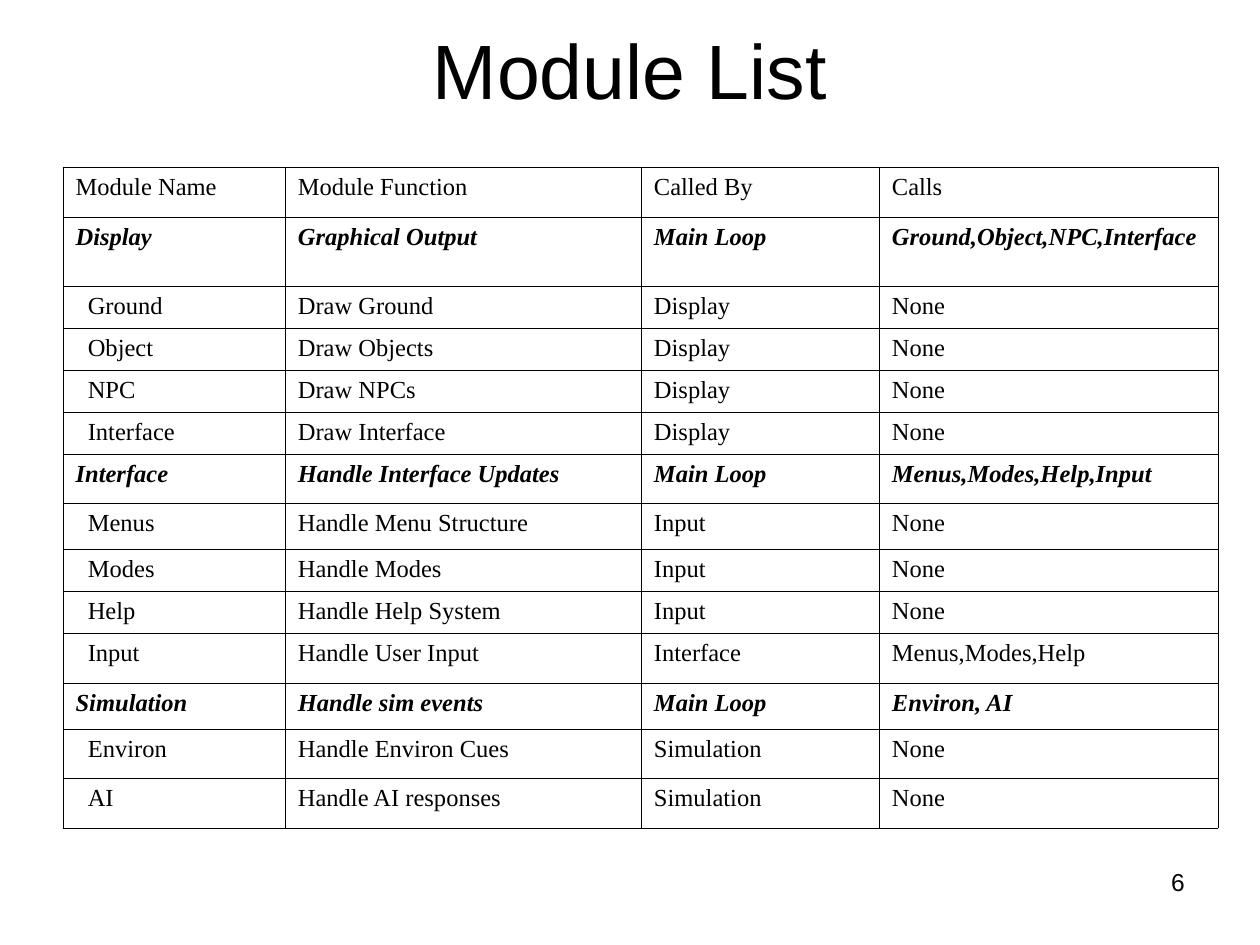
from lxml import etree
from pptx import Presentation
from pptx.dml.color import RGBColor
from pptx.enum.text import MSO_ANCHOR, PP_ALIGN
from pptx.oxml.ns import qn
from pptx.util import Pt

LEFT, CENTER = PP_ALIGN.LEFT, PP_ALIGN.CENTER
RIGHT, JUSTIFY = PP_ALIGN.RIGHT, PP_ALIGN.JUSTIFY
TOP, MIDDLE = MSO_ANCHOR.TOP, MSO_ANCHOR.MIDDLE
BLACK = "000000"
BORDER_WIDTH = 0.45
SIDE_MARGIN = 7.2
MODULE_INDENT = 7

COLUMN_WIDTHS = [127, 203.5, 136, 193.5]
HEADINGS = ["Module Name", "Module Function", "Called By", "Calls"]
HEADING_HEIGHT = 28.5
GROUPS = [
    [
        (39.5, "Display", "Graphical Output", "Main Loop", "Ground,Object,NPC,Interface"),
        (23.75, "Ground", "Draw Ground", "Display", "None"),
        (23.75, "Object", "Draw Objects", "Display", "None"),
        (24, "NPC", "Draw NPCs", "Display", "None"),
        (24, "Interface", "Draw Interface", "Display", "None"),
    ],
    [
        (28, "Interface", "Handle Interface Updates", "Main Loop", "Menus,Modes,Help,Input"),
        (26.25, "Menus", "Handle Menu Structure", "Input", "None"),
        (24, "Modes", "Handle Modes", "Input", "None"),
        (24, "Help", "Handle Help System", "Input", "None"),
        (28.5, "Input", "Handle User Input", "Interface", "Menus,Modes,Help"),
    ],
    [
        (26.25, "Simulation", "Handle sim events", "Main Loop", "Environ, AI"),
        (28.25, "Environ", "Handle Environ Cues", "Simulation", "None"),
        (28.25, "AI", "Handle AI responses", "Simulation", "None"),
    ],
]


def color(value):
    return RGBColor.from_string(value)


def write(frame, text, align, **font_format):
    paragraph = frame.paragraphs[0]
    paragraph.alignment = align
    run = paragraph.add_run()
    run.text = text
    run.font.color.rgb = color(BLACK)
    for name, value in font_format.items():
        setattr(run.font, name, value)


def add_label(slide, box, text, align, anchor, size):
    frame = slide.shapes.add_textbox(*map(Pt, box)).text_frame
    frame.word_wrap = True
    frame.vertical_anchor = anchor
    write(frame, text, align, name="Arial", size=Pt(size))


def add_borders(cell):
    properties = cell._tc.get_or_add_tcPr()
    for position, side in enumerate(("a:lnL", "a:lnR", "a:lnT", "a:lnB")):
        line = etree.Element(qn(side), w=str(Pt(BORDER_WIDTH)))
        fill = etree.SubElement(line, qn("a:solidFill"))
        etree.SubElement(fill, qn("a:srgbClr"), val=BLACK)
        properties.insert(position, line)


def fill_row(table, index, height, texts, align=LEFT, emphasis=False, indent=0):
    table.rows[index].height = Pt(height)
    for column, text in enumerate(texts):
        cell = table.cell(index, column)
        cell.margin_left = Pt(SIDE_MARGIN + (0 if column else indent))
        cell.fill.background()
        add_borders(cell)
        write(cell.text_frame, text, align, name="Times New Roman",
              size=Pt(14), bold=emphasis, italic=emphasis)


def add_module_table(slide, left, top):
    modules = [(height, texts, position == 0)
               for group in GROUPS
               for position, (height, *texts) in enumerate(group)]
    total_height = HEADING_HEIGHT + sum(height for height, _, _ in modules)
    table = slide.shapes.add_table(
        len(modules) + 1, len(COLUMN_WIDTHS),
        Pt(left), Pt(top), Pt(sum(COLUMN_WIDTHS)), Pt(total_height)).table
    for flag in ("first_row", "horz_banding"):
        setattr(table, flag, False)
    for column, width in zip(table.columns, COLUMN_WIDTHS):
        column.width = Pt(width)
    fill_row(table, 0, HEADING_HEIGHT, HEADINGS, align=JUSTIFY)
    for index, (height, texts, is_parent) in enumerate(modules, 1):
        fill_row(table, index, height, texts, emphasis=is_parent,
                 indent=0 if is_parent else MODULE_INDENT)


def main():
    deck = Presentation()
    deck.slide_width, deck.slide_height = Pt(720), Pt(540)
    slide = deck.slides.add_slide(deck.slide_layouts[6])
    add_label(slide, (36, -6, 648, 90), "Module List", CENTER, MIDDLE, 44)
    add_module_table(slide, 36, 95.5)
    add_label(slide, (516, 492, 168, 37.5), "6", RIGHT, TOP, 14)
    deck.save("out.pptx")


if __name__ == "__main__":
    main()
